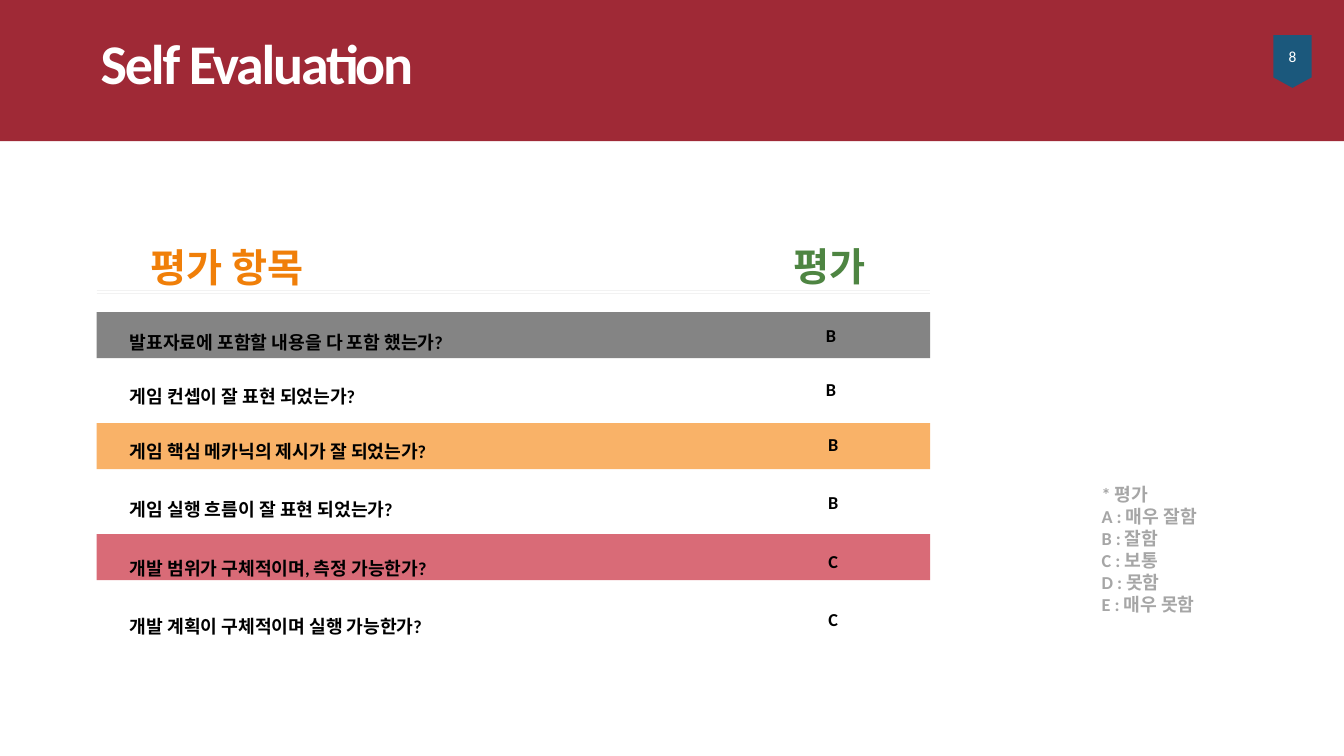
import copy

import lxml.etree
import pptx
import pptx.dml.color
import pptx.enum.shapes
import pptx.enum.text
import pptx.oxml.ns
import pptx.util

Pt = pptx.util.Pt
SHAPES = pptx.enum.shapes.MSO_SHAPE
ALIGN = pptx.enum.text.PP_ALIGN
ANCHOR = pptx.enum.text.MSO_ANCHOR
qn = pptx.oxml.ns.qn

COLORS = {
    "white": "FFFFFF",
    "black": "000000",
    "banner": "9F2936",
    "badge": "1B587C",
    "gray": "848484",
    "orange": "F9B268",
    "rose": "D96B77",
    "rule": "F2F2F2",
    "item_heading": "F07F09",
    "grade_heading": "4E8542",
    "legend": "A6A6A6",
}


class SlideBuilder:
    font_name = "Calibri"

    def __init__(self, slide):
        self.slide = slide

    def color(self, name):
        return pptx.dml.color.RGBColor.from_string(COLORS[name])

    def block(self, kind, left, top, width, height, fill):
        shape = self.slide.shapes.add_shape(kind, Pt(left), Pt(top), Pt(width), Pt(height))
        shape.shadow.inherit = False
        shape.fill.solid()
        shape.fill.fore_color.rgb = self.color(fill)
        shape.line.fill.background()
        return shape

    def rule(self, left, right, y):
        line = self.slide.shapes.add_connector(
            pptx.enum.shapes.MSO_CONNECTOR.STRAIGHT, Pt(left), Pt(y), Pt(right), Pt(y))
        line.line.color.rgb = self.color("rule")
        line.line.width = Pt(0.5)
        lxml.etree.SubElement(line._element.spPr, qn("a:effectLst"))

    def text_box(self, left, top, width, height, texts, **style):
        shape = self.slide.shapes.add_textbox(Pt(left), Pt(top), Pt(width), Pt(height))
        self.set_text(shape, texts, **style)

    def set_text(self, shape, texts, size, color, bold=True, anchor=ANCHOR.TOP,
                 tracking=None, **paragraph_format):
        frame = shape.text_frame
        frame.word_wrap = True
        frame.vertical_anchor = anchor
        frame.text = "\n".join(texts)
        font_format = {"name": self.font_name, "size": Pt(size), "bold": bold}
        for paragraph in frame.paragraphs:
            for name, value in paragraph_format.items():
                setattr(paragraph, name, value)
            for run in paragraph.runs:
                for name, value in font_format.items():
                    setattr(run.font, name, value)
                run.font.color.rgb = self.color(color)
                if tracking is not None:
                    run.font._rPr.set("spc", str(tracking))
            for line_break in paragraph._p.findall(qn("a:br")):
                line_break.insert(0, copy.deepcopy(paragraph.runs[0].font._rPr))


def main():
    presentation = pptx.Presentation()
    presentation.slide_width = Pt(960)
    presentation.slide_height = Pt(540)
    builder = SlideBuilder(presentation.slides.add_slide(presentation.slide_layouts[6]))

    builder.block(SHAPES.RECTANGLE, 0, 0, 960, 100.8, "banner")
    badge = builder.block(SHAPES.FLOWCHART_OFFPAGE_CONNECTOR, 909.5, 25.2, 27.4, 37.6, "badge")
    builder.set_text(badge, ["8"], 11, "white", bold=False, anchor=ANCHOR.MIDDLE,
                     alignment=ALIGN.CENTER)
    builder.text_box(64.8, 15.84, 661, 56.9, ["Self Evaluation"], size=40, color="white",
                     anchor=ANCHOR.MIDDLE, tracking=-150)

    table_left, table_width = 69.1, 595.4
    for index, fill in enumerate(["gray", "orange", "rose"]):
        builder.block(SHAPES.RECTANGLE, table_left, 222.9 + 79.3 * index, table_width, 33, fill)
    for y in (207.4, 209.5):
        builder.rule(table_left, table_left + table_width, y)

    heading = {"size": 28, "anchor": ANCHOR.MIDDLE}
    builder.text_box(100.8, 169.9, 412.6, 41, ["평가 항목"], color="item_heading", **heading)
    builder.text_box(526.3, 169.2, 132.5, 41, ["평가"], color="grade_heading",
                     alignment=ALIGN.CENTER, **heading)

    rows = {"size": 13, "color": "black", "line_spacing": 2.5, "space_before": Pt(2.6)}
    questions = [
        "발표자료에 포함할 내용을 다 포함 했는가? \v게임 컨셉이 잘 표현 되었는가?\v"
        "게임 핵심 메카닉의 제시가 잘 되었는가?",
        "게임 실행 흐름이 잘 표현 되었는가?",
        "개발 범위가 구체적이며, 측정 가능한가?",
        "개발 계획이 구체적이며 실행 가능한가?",
    ]
    builder.text_box(85.7, 209.5, 428.4, 252.7, questions, **rows)
    builder.text_box(526.3, 204.5, 137.5, 252.7, ["B \vB \vB", "B", "C", "C"],
                     alignment=ALIGN.CENTER, **rows)

    legend = ["* 평가", "A : 매우 잘함", "B : 잘함", "C : 보통", "D : 못함", "E : 매우 못함"]
    builder.text_box(779.8, 342, 180, 117.4, legend, size=13, color="legend",
                     alignment=ALIGN.JUSTIFY)

    presentation.save("out.pptx")


if __name__ == "__main__":
    main()
